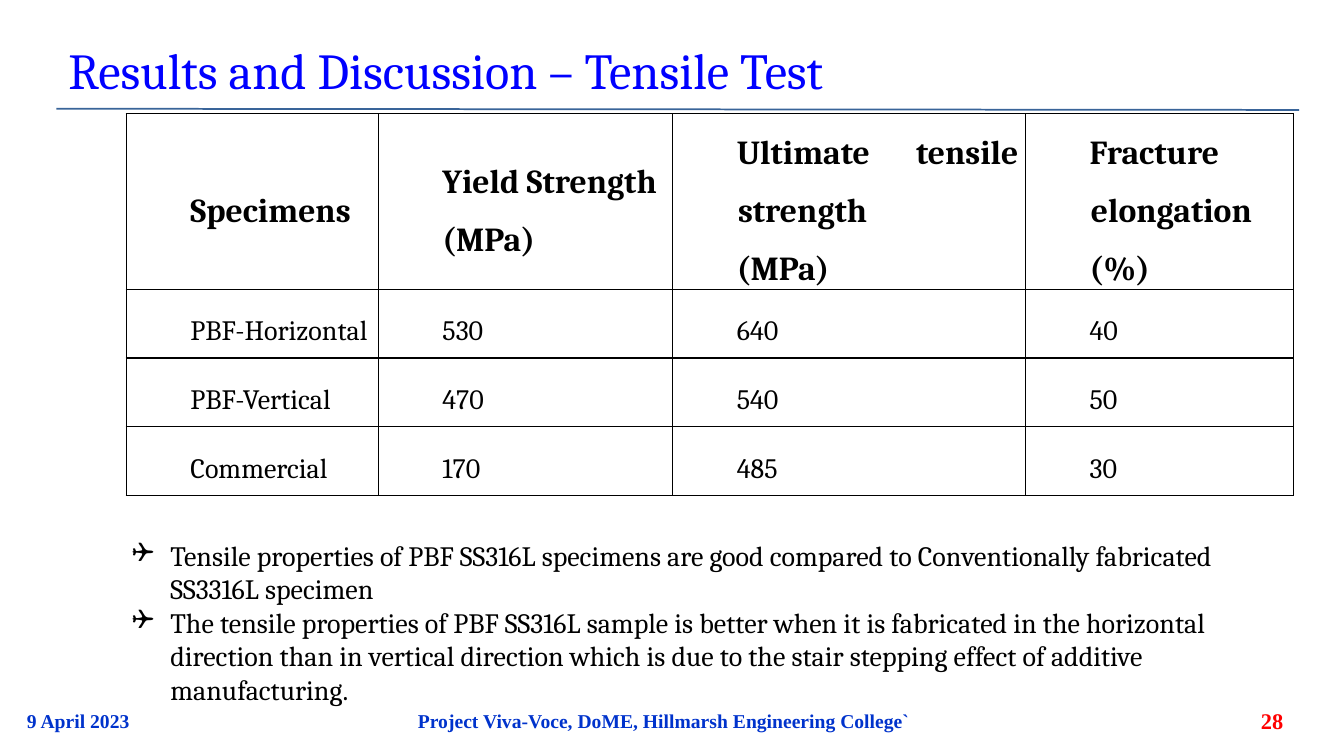
"""Build the tensile test results slide."""
import pptx
import pptx.dml.color
import pptx.enum.shapes
import pptx.enum.text
import pptx.oxml
import pptx.oxml.ns
import pptx.util

Cm = pptx.util.Cm
Pt = pptx.util.Pt
RGBColor = pptx.dml.color.RGBColor
ALIGN = pptx.enum.text.PP_ALIGN
ANCHOR = pptx.enum.text.MSO_ANCHOR

BLACK = RGBColor(0x00, 0x00, 0x00)
TITLE_BLUE = RGBColor(0x00, 0x00, 0xFF)
FOOTER_BLUE = RGBColor(0x00, 0x33, 0xCC)
RULE_BLUE = RGBColor(0x39, 0x64, 0x99)
NUMBER_RED = RGBColor(0xFF, 0x00, 0x00)

HEADINGS = ["Specimens", "Yield Strength\n(MPa)",
            "Ultimate tensile strength\n(MPa)", "Fracture elongation\n(%)"]
RESULTS = [["PBF-Horizontal", "530", "640", "40"],
           ["PBF-Vertical", "470", "540", "50"],
           ["Commercial", "170", "485", "30"]]
FINDINGS = [
    "Tensile properties of PBF SS316L specimens are good compared to "
    "Conventionally fabricated SS3316L specimen",
    "The tensile properties of PBF SS316L sample is better when it is "
    "fabricated in the horizontal direction than in vertical direction which "
    "is due to the stair stepping effect of additive manufacturing.",
]


def add_xml(parent, markup):
    """Append a DrawingML element to a parent element."""
    namespace = pptx.oxml.ns.nsdecls("a")
    tag, rest = markup[1:].split(" ", 1)
    parent.append(pptx.oxml.parse_xml(f"<{tag} {namespace} {rest}"))


class ResultSlide:
    """Hold the slide and its fonts, and add each kind of element."""

    heading_font = "Cambria"
    footer_font = "Times New Roman"

    def __init__(self, presentation):
        """Add a slide with a title and a body."""
        layout = presentation.slide_layouts.get_by_name("Title and Content")
        self.slide = presentation.slides.add_slide(layout)

    def format_text(self, text_frame, font, size, color, bold=False, align=ALIGN.LEFT):
        """Give every paragraph and run the same look."""
        for paragraph in text_frame.paragraphs:
            paragraph.alignment = align
            for run in paragraph.runs:
                run.font.name = font
                run.font.size = Pt(size)
                run.font.color.rgb = color
                run.font.bold = bold

    def indent(self, paragraph, margin, first_line):
        """Set the left margin and the first line indent."""
        properties = paragraph._p.get_or_add_pPr()
        properties.set("marL", str(Cm(margin)))
        properties.set("indent", str(Cm(first_line)))
        return properties

    def place(self, shape, left, top, width, height, anchor):
        """Move a text shape and fix how its text sits."""
        shape.left, shape.top = Cm(left), Cm(top)
        shape.width, shape.height = Cm(width), Cm(height)
        shape.text_frame.word_wrap = True
        shape.text_frame.auto_size = pptx.enum.text.MSO_AUTO_SIZE.NONE
        shape.text_frame.vertical_anchor = anchor

    def set_title(self, text):
        """Fill the title placeholder."""
        title = self.slide.shapes.title
        self.place(title, 1.47, 0.84, 31.12, 1.8, ANCHOR.BOTTOM)
        title.text_frame.text = text
        self.format_text(title.text_frame, self.heading_font, 36, TITLE_BLUE)

    def set_findings(self, findings):
        """Fill the body placeholder with a box-bulleted list."""
        body = self.slide.placeholders[1]
        self.place(body, 3.07, 13.43, 29.62, 4.5, ANCHOR.TOP)
        body.text_frame.text = "\n".join(findings)
        self.format_text(body.text_frame, self.heading_font, 20, BLACK)
        for paragraph in body.text_frame.paragraphs:
            paragraph.space_before = Pt(0)
            properties = self.indent(paragraph, 0.97, -0.97)
            add_xml(properties, '<a:buFont typeface="Wingdings"/>')
            add_xml(properties, '<a:buChar char="❑"/>')

    def add_rule(self, start_x, start_y, end_x, end_y):
        """Draw the line under the title."""
        rule = self.slide.shapes.add_connector(
            pptx.enum.shapes.MSO_CONNECTOR.STRAIGHT,
            Cm(start_x), Cm(start_y), Cm(end_x), Cm(end_y))
        rule.line.color.rgb = RULE_BLUE
        rule.line.width = Pt(1.25)
        add_xml(rule._element.spPr, "<a:effectLst />")

    def add_footer(self, text, left, width, size, color, align):
        """Add one bold text in the footer row."""
        box = self.slide.shapes.add_textbox(0, 0, 0, 0)
        self.place(box, left, 17.65, width, 1.02, ANCHOR.MIDDLE)
        box.text_frame.text = text
        self.format_text(box.text_frame, self.footer_font, size, color, True, align)

    def add_results(self, rows, left, top, widths, heights):
        """Add the bordered table with a bold first row."""
        frame = self.slide.shapes.add_table(
            len(rows), len(widths), Cm(left), Cm(top), Cm(sum(widths)), Cm(sum(heights)))
        table = frame.table
        table.first_row = table.horz_banding = False
        for column, width in zip(table.columns, widths):
            column.width = Cm(width)
        for row, height, texts in zip(table.rows, heights, rows):
            row.height = Cm(height)
            is_heading = texts is rows[0]
            for cell, text in zip(row.cells, texts):
                self.fill_cell(cell, text, 24 if is_heading else 20, is_heading)

    def fill_cell(self, cell, text, size, bold):
        """Write and format one table cell."""
        cell.text_frame.text = text
        cell.vertical_anchor = ANCHOR.MIDDLE
        cell.margin_left = cell.margin_right = Cm(0.18)
        cell.margin_top = cell.margin_bottom = 0
        self.format_text(cell.text_frame, self.heading_font, size, BLACK, bold, ALIGN.JUSTIFY)
        for paragraph in cell.text_frame.paragraphs:
            paragraph.line_spacing = 1.5
            self.indent(paragraph, 1.47, -0.03)
        properties = cell._tc.get_or_add_tcPr()
        for side in ("lnL", "lnR", "lnT", "lnB"):
            add_xml(properties, f'<a:{side} w="{Pt(1)}"><a:solidFill>'
                                f'<a:srgbClr val="{BLACK}"/></a:solidFill></a:{side}>')
        cell.fill.background()


def main():
    """Create the presentation and save it."""
    presentation = pptx.Presentation()
    presentation.slide_width, presentation.slide_height = Cm(33.87), Cm(19.05)
    page = ResultSlide(presentation)
    page.add_rule(1.42, 2.74, 32.74, 2.77)
    page.set_title("Results and Discussion – Tensile Test")
    page.add_results([HEADINGS] + RESULTS, 3.18, 2.87,
                     [6.35, 7.42, 8.89, 6.76], [4.42] + [1.73] * 3)
    page.set_findings(FINDINGS)
    page.add_footer("9 April 2023", 0.43, 8.74, 14, FOOTER_BLUE, ALIGN.LEFT)
    page.add_footer("Project Viva-Voce, DoME, Hillmarsh Engineering College`",
                    8.26, 16.94, 14, FOOTER_BLUE, ALIGN.CENTER)
    page.add_footer("28", 23.85, 8.74, 16, NUMBER_RED, ALIGN.RIGHT)
    presentation.save("out.pptx")


if __name__ == "__main__":
    main()
